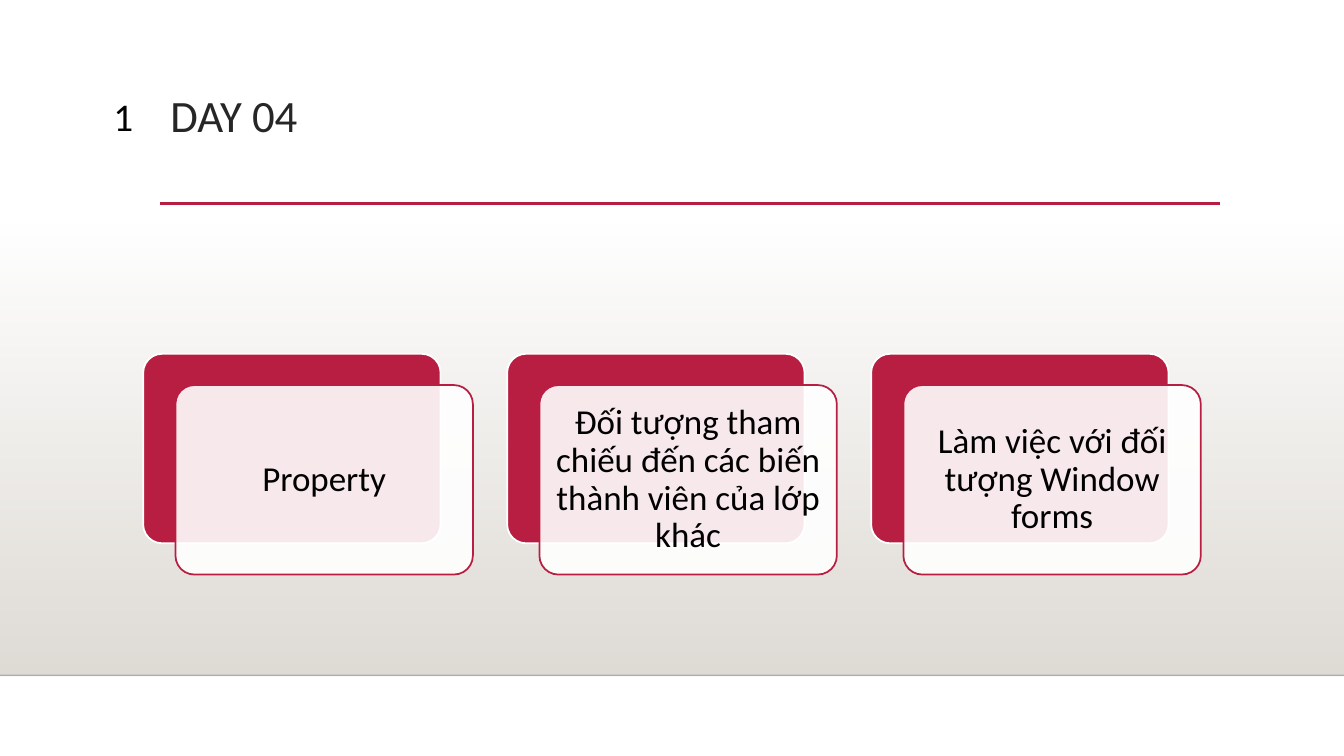
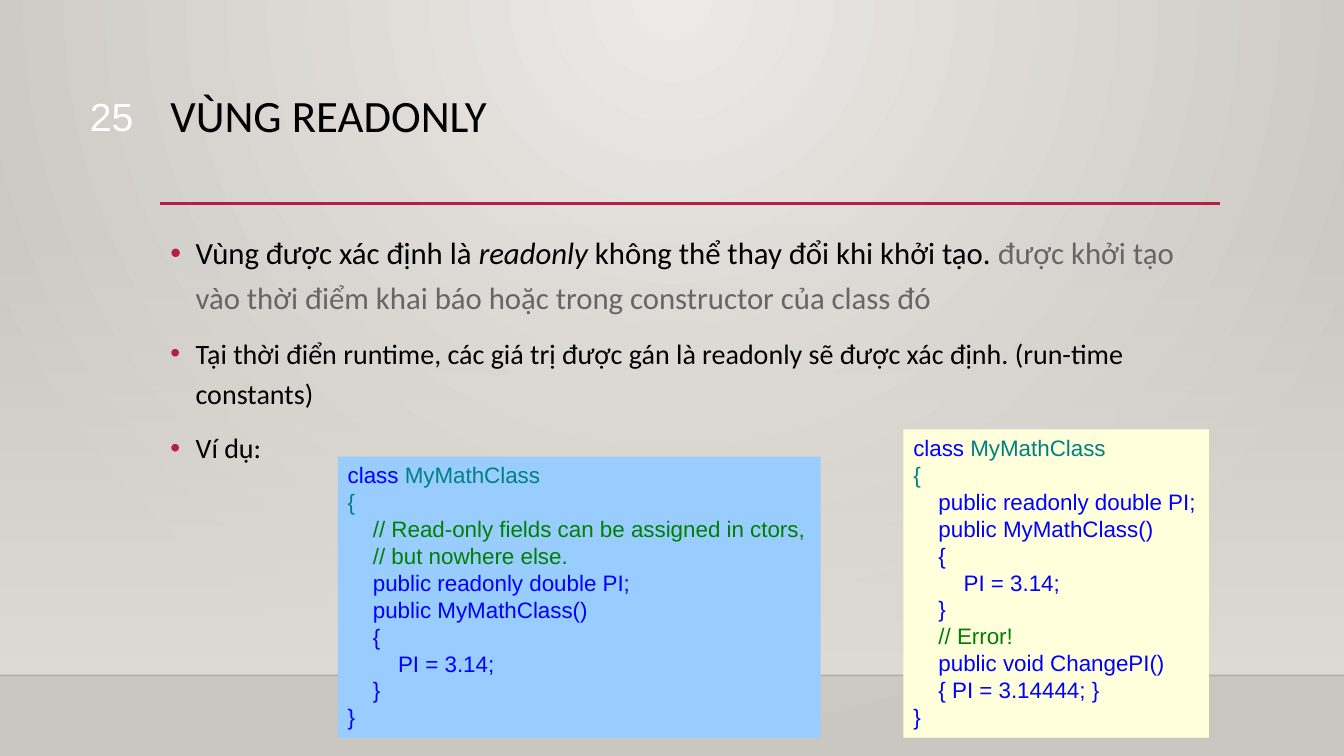
"""Build two C# course slides on a shared frame: the day's topics and readonly fields."""
from dataclasses import dataclass

import pptx
import pptx.dml.color
import pptx.enum.shapes
import pptx.enum.text
import pptx.oxml
import pptx.oxml.ns
import pptx.util
from pptx.util import Inches

ALIGN = pptx.enum.text.PP_ALIGN
ANCHOR = pptx.enum.text.MSO_ANCHOR
SHAPE = pptx.enum.shapes.MSO_SHAPE


@dataclass(frozen=True)
class Theme:
    """Colours, fonts and type sizes of the presentation."""
    accent: str = "B71E42"
    white: str = "FFFFFF"
    black: str = "000000"
    heading: str = "262626"
    muted: str = "666666"
    band: str = "DFDBD5"
    glow: str = "ECEAE7"
    edge: str = "CAC7C1"
    blue_panel: str = "99CCFF"
    yellow_panel: str = "FFFFDC"
    keyword: str = "0000FF"
    type_name: str = "008080"
    remark: str = "008000"
    font: str = "Calibri"
    code_font: str = "Arial"
    title_size: int = 32
    number_size: int = 28
    card_size: int = 25
    lead_size: int = 22
    body_size: int = 20
    code_size: int = 16


THEME = Theme()

TOPICS = {
    "title": "DAY 04",
    "number": "1",
    "cards": [
        "Property",
        "Đối tượng tham chiếu đến các biến thành viên của lớp khác",
        "Làm việc với đối tượng Window forms",
    ],
}

READONLY = {
    "title": "VÙNG READONLY",
    "number": "25",
    "bullets": [
        (THEME.lead_size, [
            ("Vùng được xác định là ", THEME.black, False),
            ("readonly ", THEME.black, True),
            ("không thể thay đổi khi khởi tạo. ", THEME.black, False),
            ("được khởi tạo vào thời điểm khai báo hoặc trong constructor của class đó",
             THEME.muted, False),
        ]),
        (THEME.body_size, [
            ("Tại thời điển runtime, các giá trị được gán là readonly sẽ được xác định. "
             "(run-time constants)", THEME.black, False),
        ]),
        (THEME.body_size, [("Ví dụ:", THEME.black, False)]),
    ],
}

CLASS_OPENING = [
    (0, [("class ", THEME.keyword), ("MyMathClass", THEME.type_name)]),
    (0, [("{", THEME.type_name)]),
]
CONSTRUCTOR = [
    (1, [("public readonly double PI;", THEME.keyword)]),
    (1, [("public MyMathClass()", THEME.keyword)]),
    (1, [("{", THEME.keyword)]),
    (2, [("PI = 3.14;", THEME.keyword)]),
    (1, [("}", THEME.keyword)]),
]
CLASS_END = [(0, [("}", THEME.keyword)])]
CODE_PANELS = [
    ((3.35, 4.53, 4.79, 2.79), THEME.blue_panel, CLASS_OPENING + [
        (1, [("// Read-only fields can be assigned in ctors,", THEME.remark)]),
        (1, [("// but nowhere else.", THEME.remark)]),
    ] + CONSTRUCTOR + CLASS_END),
    ((8.96, 4.26, 3.03, 3.06), THEME.yellow_panel, CLASS_OPENING + CONSTRUCTOR + [
        (1, [("// Error!", THEME.remark)]),
        (1, [("public void ChangePI()", THEME.keyword)]),
        (1, [("{ PI = 3.14444; }", THEME.keyword)]),
    ] + CLASS_END),
]

SLIDE_SIZE = (13.33, 7.5)
TITLE_BOX = (1.59, 0.88, 10.5, 1.15)
NUMBER_BOX = (0.53, 0.87, 0.89, 0.55)
BODY_BOX = (1.59, 2.2, 10.5, 3.77)
BAND_BOX = (0, 2.21, 13.33, 4.49)
CARD_ORIGIN = (1.42, 3.51)
CARD_SIZE = (2.95, 1.88)
CARD_PITCH = 3.61
CARD_OFFSET = (0.32, 0.31)
CODE_INDENT = 0.25


def rgb(colour):
    """Turn a hex string into a colour."""
    return pptx.dml.color.RGBColor.from_string(colour)


def apply(target, formats):
    """Set each attribute named in a dict of format values."""
    for name, value in formats.items():
        setattr(target, name, value)


def place(shape, box):
    """Move and size a shape by a box in inches."""
    apply(shape, dict(zip(("left", "top", "width", "height"), map(Inches, box))))


def make_element(tag, content=""):
    """Make a drawing element from its tag and inner XML."""
    namespace = pptx.oxml.ns.nsdecls("a")
    return pptx.oxml.parse_xml(f"<a:{tag} {namespace}>{content}</a:{tag}>")


def gradient(stops, direction):
    """Make a gradient fill from (position, colour, opacity) stops in percent."""
    marks = "".join(
        f'<a:gs pos="{position * 1000}"><a:srgbClr val="{colour}">'
        f'<a:alpha val="{opacity * 1000}"/></a:srgbClr></a:gs>'
        for position, colour, opacity in stops)
    return make_element("gradFill", f"<a:gsLst>{marks}</a:gsLst>{direction}")


def replace_fill(parent, fill):
    """Swap the solid fill directly below an element for another fill."""
    solid = parent.xpath("./a:solidFill")[0]
    parent.replace(solid, fill)


def set_opacity(element, percent):
    """Make the solid colour of a fill or line element partly transparent."""
    colour = element.xpath("./a:solidFill/a:srgbClr")[0]
    alpha = make_element("alpha")
    alpha.set("val", str(percent * 1000))
    colour.append(alpha)


def add_run(paragraph, text, size, colour, font=THEME.font, italic=False):
    """Add a formatted run to a paragraph."""
    run = paragraph.add_run()
    run.text = text
    apply(run.font, {"name": font, "size": pptx.util.Pt(size),
                     "bold": False, "italic": italic})
    run.font.color.rgb = rgb(colour)


def next_paragraph(frame, index):
    """Return the first paragraph of a text frame or add a further one."""
    return frame.add_paragraph() if index else frame.paragraphs[0]


def set_indent(paragraph, left, first=0):
    """Set the left margin and first-line indent of a paragraph in inches."""
    properties = paragraph._p.get_or_add_pPr()
    properties.set("marL", str(Inches(left)))
    properties.set("indent", str(Inches(first)))
    return properties


def add_block(slide, kind, box, fill, line=None):
    """Add a filled preset shape with an optional outline."""
    shape = slide.shapes.add_shape(kind, *map(Inches, box))
    shape.shadow.inherit = False
    shape.fill.solid()
    shape.fill.fore_color.rgb = rgb(fill)
    if line:
        shape.line.color.rgb = rgb(line)
        shape.line.width = pptx.util.Pt(1.25)
    else:
        shape.line.fill.background()
    return shape


def add_rule(slide, left, right, top, colour, width):
    """Add a horizontal line without a shadow."""
    rule = slide.shapes.add_connector(
        pptx.enum.shapes.MSO_CONNECTOR.STRAIGHT,
        *map(Inches, (left, top, right, top)))
    rule.line.color.rgb = rgb(colour)
    rule.line.width = pptx.util.Pt(width)
    rule.element.spPr.append(make_element("effectLst"))
    return rule


def build_frame(presentation, slide):
    """Draw the band and the rules, then hand them to the slide master."""
    band = add_block(slide, SHAPE.RECTANGLE, BAND_BOX, THEME.band)
    replace_fill(band.element.spPr, gradient(
        [(0, THEME.band, 0), (100, THEME.band, 100)],
        '<a:lin ang="5400000" scaled="0"/>'))
    floor = add_rule(slide, 0, SLIDE_SIZE[0], 6.7, THEME.black, 1)
    set_opacity(floor.element.spPr.xpath("./a:ln")[0], 20)
    title_rule = add_rule(slide, 1.59, 12.1, 2.02, THEME.accent, 2.5)
    master_tree = presentation.slide_master.shapes.element
    for number, shape in enumerate((band, floor, title_rule), start=20):
        shape.element.xpath(".//p:cNvPr")[0].set("id", str(number))
        master_tree.append(shape.element)


def add_heading(slide, content, title_colour, number_colour, number_font):
    """Fill the title placeholder and add the slide number beside it."""
    title = slide.shapes.title
    place(title, TITLE_BOX)
    title.text_frame.vertical_anchor = ANCHOR.TOP
    paragraph = title.text_frame.paragraphs[0]
    apply(paragraph, {"alignment": ALIGN.LEFT, "line_spacing": 0.9})
    add_run(paragraph, content["title"], THEME.title_size, title_colour)

    number = slide.shapes.add_textbox(*map(Inches, NUMBER_BOX))
    number.text_frame.word_wrap = True
    paragraph = number.text_frame.paragraphs[0]
    paragraph.alignment = ALIGN.RIGHT
    add_run(paragraph, content["number"], THEME.number_size, number_colour, number_font)


def add_card(slide, index, text):
    """Add a topic card: a solid back and a translucent front with text."""
    left, top = CARD_ORIGIN[0] + index * CARD_PITCH, CARD_ORIGIN[1]
    front_box = (left + CARD_OFFSET[0], top + CARD_OFFSET[1], *CARD_SIZE)
    back = add_block(slide, SHAPE.ROUNDED_RECTANGLE, (left, top, *CARD_SIZE),
                     THEME.accent, THEME.white)
    front = add_block(slide, SHAPE.ROUNDED_RECTANGLE, front_box,
                      THEME.white, THEME.accent)
    for card in (back, front):
        card.adjustments[0] = 0.1
    set_opacity(front.element.spPr, 90)
    margins = ("margin_left", "margin_top", "margin_right", "margin_bottom")
    apply(front.text_frame, dict.fromkeys(margins, Inches(0.1)))
    apply(front.text_frame, {"word_wrap": True, "vertical_anchor": ANCHOR.MIDDLE})
    paragraph = front.text_frame.paragraphs[0]
    apply(paragraph, {"alignment": ALIGN.CENTER, "line_spacing": 0.9})
    add_run(paragraph, text, THEME.card_size, THEME.black)


def add_bullets(slide, bullets):
    """Fill the body placeholder with bulleted paragraphs."""
    body = slide.placeholders[1]
    place(body, BODY_BOX)
    frame = body.text_frame
    apply(frame, {"auto_size": pptx.enum.text.MSO_AUTO_SIZE.NONE,
                  "vertical_anchor": ANCHOR.TOP})
    for index, (size, runs) in enumerate(bullets):
        paragraph = next_paragraph(frame, index)
        apply(paragraph, {"line_spacing": 1.2, "space_before": pptx.util.Pt(10)})
        properties = set_indent(paragraph, 0.25, -0.25)
        properties.append(make_element("buClr", f'<a:srgbClr val="{THEME.accent}"/>'))
        bullet = make_element("buChar")
        bullet.set("char", "•")
        properties.append(bullet)
        for text, colour, italic in runs:
            add_run(paragraph, text, size, colour, italic=italic)


def add_code(slide, box, fill, lines):
    """Add a panel of code whose nesting is set by paragraph indents."""
    panel = add_block(slide, SHAPE.RECTANGLE, box, fill)
    frame = panel.text_frame
    apply(frame, {"word_wrap": True, "vertical_anchor": ANCHOR.TOP, "margin_right": 0})
    for index, (level, runs) in enumerate(lines):
        paragraph = next_paragraph(frame, index)
        apply(paragraph, {"alignment": ALIGN.LEFT, "line_spacing": 1.0})
        set_indent(paragraph, level * CODE_INDENT)
        for text, colour in runs:
            add_run(paragraph, text, THEME.code_size, colour, THEME.code_font)


def main():
    """Build and save the presentation."""
    presentation = pptx.Presentation()
    presentation.slide_width, presentation.slide_height = map(Inches, SLIDE_SIZE)

    topics = presentation.slides.add_slide(presentation.slide_layouts[5])
    build_frame(presentation, topics)
    add_heading(topics, TOPICS, THEME.heading, THEME.black, THEME.font)
    for index, text in enumerate(TOPICS["cards"]):
        add_card(topics, index, text)

    readonly = presentation.slides.add_slide(presentation.slide_layouts[1])
    readonly.background.fill.solid()
    replace_fill(readonly.element.xpath(".//p:bgPr")[0], gradient(
        [(0, THEME.glow, 100), (100, THEME.edge, 100)],
        '<a:path path="circle"><a:fillToRect l="43000" r="43000" b="100000"/></a:path>'))
    add_heading(readonly, READONLY, THEME.black, THEME.white, THEME.code_font)
    add_bullets(readonly, READONLY["bullets"])
    for box, fill, lines in CODE_PANELS:
        add_code(readonly, box, fill, lines)

    presentation.save("out.pptx")


if __name__ == "__main__":
    main()
